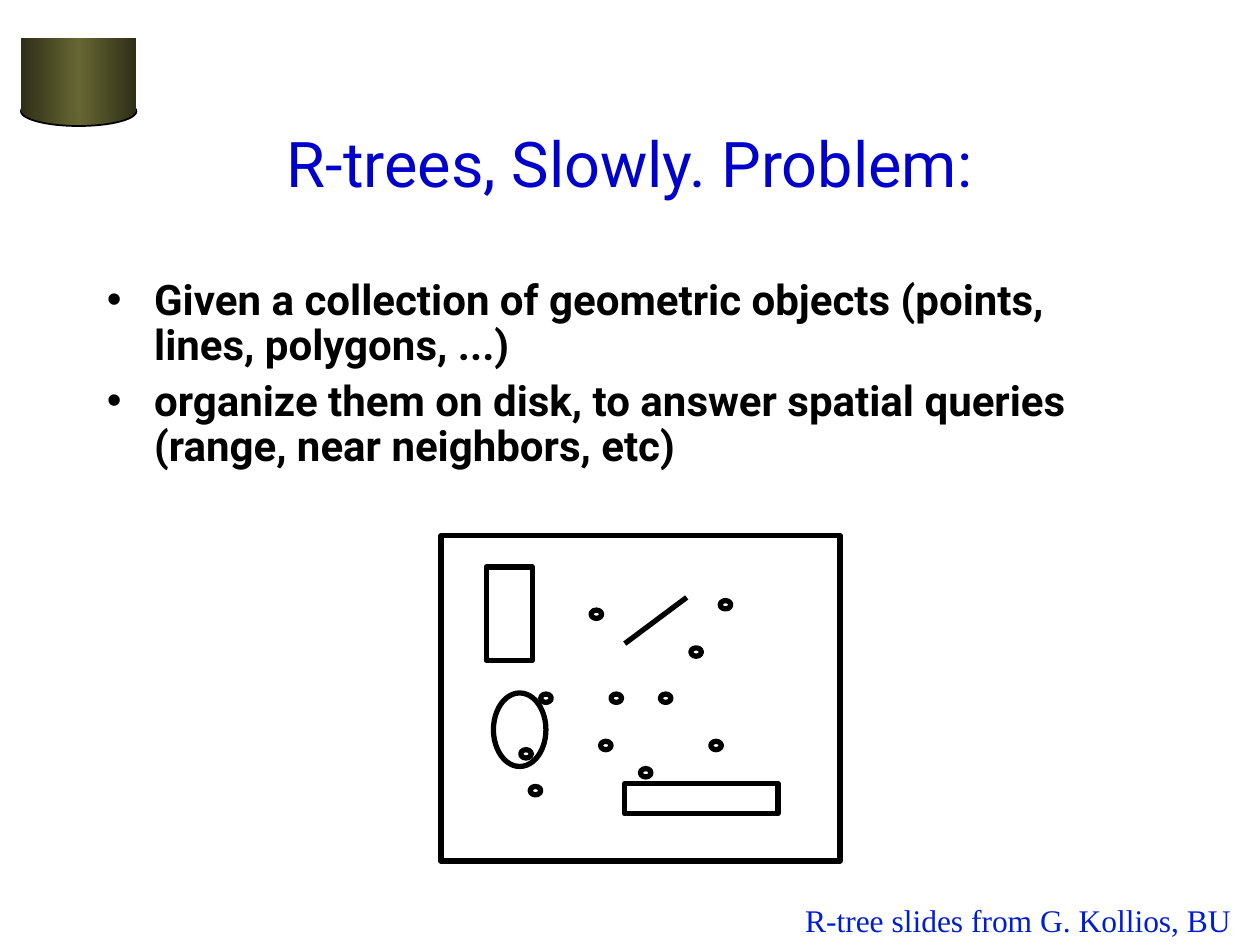
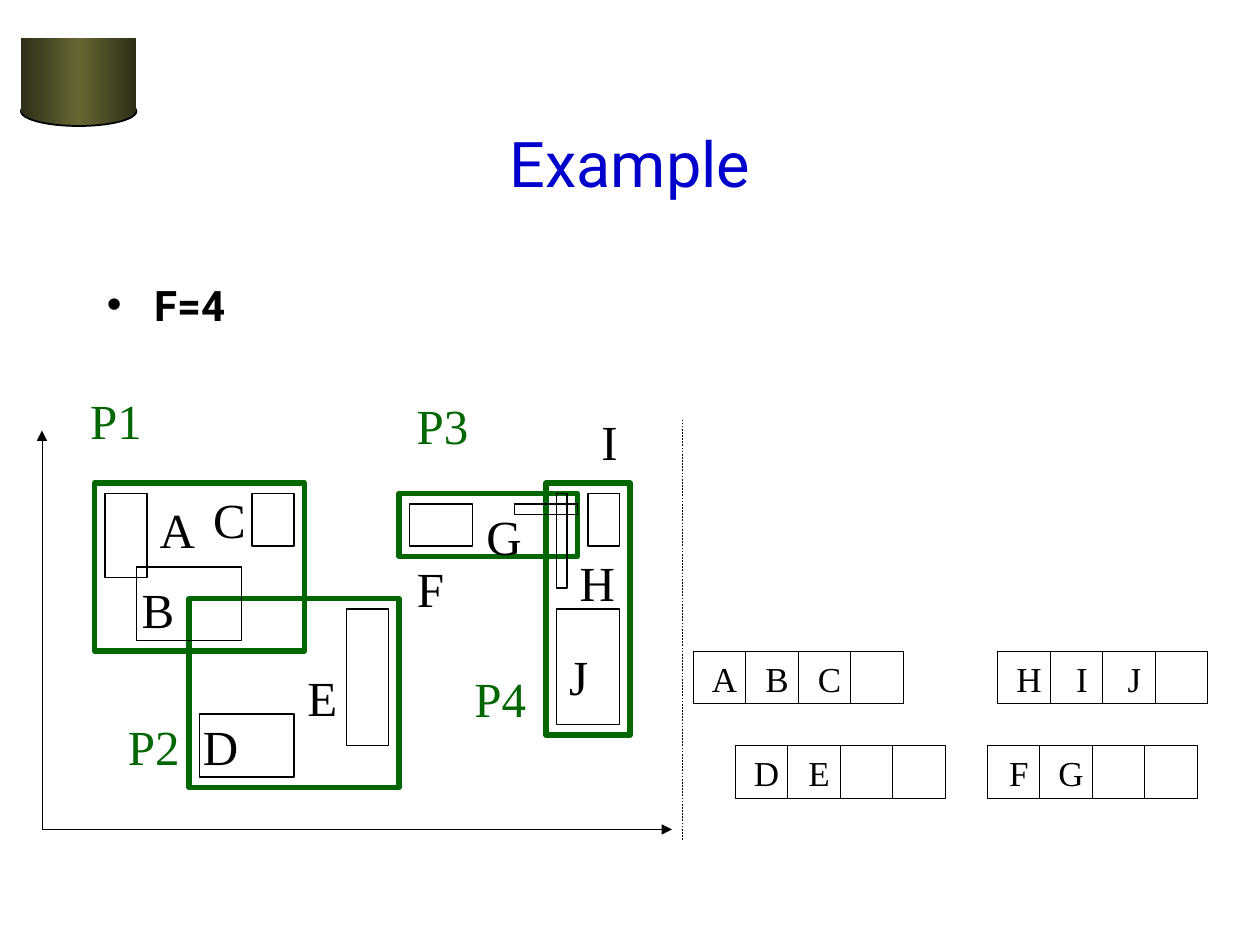
from copy import deepcopy
from dataclasses import dataclass

from lxml.etree import SubElement
from pptx import Presentation
from pptx.dml.color import RGBColor
from pptx.enum.dml import MSO_LINE_DASH_STYLE as DASH
from pptx.enum.shapes import MSO_CONNECTOR as CONNECTOR
from pptx.enum.shapes import MSO_SHAPE as SHAPE
from pptx.enum.text import MSO_ANCHOR as ANCHOR
from pptx.enum.text import PP_ALIGN as ALIGN
from pptx.oxml.ns import qn
from pptx.util import Emu, Pt

PX = 7620  # 120 px to the inch


@dataclass(frozen=True)
class Theme:
    black: str = "000000"
    title_blue: str = "0000CC"
    credit_blue: str = "001DD6"
    node_green: str = "006600"
    drum: tuple = ("2F2F18", "666633", "2F2F18")
    sans: str = "Roboto"
    serif: str = "Times New Roman"
    title_size: int = 36
    body_size: int = 24
    label_size: int = 28
    cell_size: int = 20
    credit_size: int = 18
    bold_line: float = 3
    drum_line: float = 1
    object_line: float = 0.75
    hairline: float = 0.25


THEME = Theme()

# Spatial objects on the first slide
DOT_SIZE = (10, 8)
DOTS = [(496, 714), (505, 749), (572, 706), (563, 581), (629, 661), (515, 661),
        (686, 572), (658, 617), (582, 661), (677, 706), (610, 732)]

# Parent boxes: name, box, label centre and top
PARENT_NODES = [
    ("P1", (90, 460, 200, 160), (110, 366)),
    ("P4", (520, 460, 80, 240), (476, 631)),
    ("P2", (180, 570, 200, 180), (146, 676)),
    ("P3", (380, 470, 170, 60), (421, 371)),
]
# Data boxes: name, box, label centre and top
DATA_OBJECTS = [
    ("A", (100, 470, 40, 80), (169, 470)),
    ("B", (130, 540, 100, 70), (150, 546)),
    ("C", (240, 470, 40, 50), (218, 460)),
    ("D", (190, 680, 90, 60), (210, 676)),
    ("E", (330, 580, 40, 130), (307, 630)),
    ("F", (390, 480, 60, 40), (410, 526)),
    ("G", (490, 480, 60, 10), (480, 476)),
    ("H", (530, 470, 10, 90), (569, 520)),
    ("I", (560, 470, 30, 50), (580, 386)),
    ("J", (530, 580, 60, 110), (551, 610)),
]
# Leaf pages: entries, left, top
LEAVES = [("FG", 940, 710), ("DE", 700, 710), ("HIJ", 950, 620), ("ABC", 660, 620)]
FANOUT = 4
CELL = 50

# Glyph widths in em, for label boxes that hug their text
GLYPH_WIDTH = dict(A=.72, B=.67, C=.67, D=.72, E=.61, F=.56, G=.72, H=.72,
                   I=.33, J=.39, P=.56)
DIGIT_WIDTH = 0.5


def emu(*lengths):
    return [Emu(length * PX) for length in lengths]


# Outlines and lines
def style_line(shape, color, width):
    shape.line.color.rgb = RGBColor.from_string(color)
    shape.line.width = Pt(width)


def add_outline(shapes, kind, box, color, width):
    shape = shapes.add_shape(kind, *emu(*box))
    shape.shadow.inherit = False
    shape.fill.background()
    style_line(shape, color, width)
    return shape


def add_line(slide, start, end, width):
    line = slide.shapes.add_connector(CONNECTOR.STRAIGHT, *emu(*start, *end))
    style_line(line, THEME.black, width)
    SubElement(line._element.spPr, qn("a:effectLst"))
    return line


def add_axes(slide, top, origin, right):
    builder = slide.shapes.build_freeform(*emu(*top), scale=1.0)
    builder.add_line_segments([emu(*origin), emu(*right)], close=False)
    axes = builder.convert_to_shape()
    axes.shadow.inherit = False
    axes.fill.background()
    style_line(axes, THEME.black, THEME.hairline)
    outline = axes._element.spPr.find(qn("a:ln"))
    for end in ("a:headEnd", "a:tailEnd"):
        SubElement(outline, qn(end), type="triangle")


# Text
def style_paragraph(paragraph, font, size, color, bold=False):
    for run in paragraph.runs:
        run.font.name = font
        run.font.size = Pt(size)
        run.font.bold = bold
        run.font.color.rgb = RGBColor.from_string(color)


def add_text(shapes, box, text, font, size, color, align=ALIGN.CENTER,
             anchor=ANCHOR.MIDDLE, wrap=False):
    text_frame = shapes.add_textbox(*emu(*box)).text_frame
    text_frame.word_wrap = wrap
    text_frame.vertical_anchor = anchor
    text_frame.text = text
    paragraph = text_frame.paragraphs[0]
    paragraph.alignment = align
    style_paragraph(paragraph, font, size, color)


def add_label(shapes, text, center, top, size, color):
    em = size * 120 / 72
    advance = sum(GLYPH_WIDTH.get(glyph, DIGIT_WIDTH) for glyph in text)
    width = round(advance * em) + 24
    height = round(1.2 * em) + 12
    box = (center - width // 2, top, width, height)
    add_text(shapes, box, text, THEME.serif, size, color)


def add_bullets(slide, items, line_spacing):
    text_frame = slide.shapes.add_textbox(*emu(90, 260, 1020, 540)).text_frame
    text_frame.word_wrap = True
    text_frame.text = "\n".join(items)
    for index, paragraph in enumerate(text_frame.paragraphs):
        properties = paragraph._p.get_or_add_pPr()
        properties.set("marL", str(45 * PX))
        properties.set("indent", str(-45 * PX))
        SubElement(properties, qn("a:buFont"), typeface="Arial")
        SubElement(properties, qn("a:buChar"), char="•")
        paragraph.line_spacing = line_spacing
        if index:
            paragraph.space_before = Pt(6)
        style_paragraph(paragraph, THEME.sans, THEME.body_size, THEME.black, bold=True)


# Shared slide frame
def add_drum(slide):
    group = slide.shapes.add_group_shape()
    base = add_outline(group.shapes, SHAPE.OVAL, (20, 92, 110, 28),
                       THEME.black, THEME.drum_line)
    side = add_outline(group.shapes, SHAPE.RECTANGLE, (20, 36, 110, 71),
                       THEME.black, THEME.drum_line)
    side.line.fill.background()
    for part in (base, side):
        part.fill.gradient()
        part.fill.gradient_angle = 0
        stop_list = part._element.spPr.find(".//" + qn("a:gsLst"))
        stop_list.append(deepcopy(stop_list[0]))
        stops = zip(part.fill.gradient_stops, THEME.drum, (0, 0.5, 1))
        for stop, color, position in stops:
            stop.color.rgb = RGBColor.from_string(color)
            stop.position = position


def add_slide(presentation, title):
    slide = presentation.slides.add_slide(presentation.slide_layouts[6])
    add_drum(slide)
    add_text(slide.shapes, (90, 80, 1020, 150), title, THEME.sans,
             THEME.title_size, THEME.title_blue, wrap=True)
    return slide


# Slide contents
def add_object_map(slide):
    outlines = [
        (SHAPE.RECTANGLE, (420, 510, 380, 310)),
        *((SHAPE.OVAL, dot + DOT_SIZE) for dot in DOTS),
        (SHAPE.RECTANGLE, (463, 540, 44, 89)),
        (SHAPE.RECTANGLE, (595, 746, 146, 29)),
        (SHAPE.OVAL, (470, 660, 50, 70)),
    ]
    for kind, box in outlines:
        add_outline(slide.shapes, kind, box, THEME.black, THEME.bold_line)
    add_line(slide, (595, 613), (654, 569), THEME.bold_line)


def add_boxes(slide, entries, color, width):
    for _, box, _ in entries:
        add_outline(slide.shapes, SHAPE.RECTANGLE, box, color, width)


def add_labels(slide, entries, color):
    for name, _, (center, top) in entries:
        add_label(slide.shapes, name, center, top, THEME.label_size, color)


def add_leaf(slide, entries, left, top):
    shapes = slide.shapes.add_group_shape().shapes
    cell_lefts = [left + CELL * index for index in range(FANOUT)]
    for cell_left in cell_lefts:
        add_outline(shapes, SHAPE.RECTANGLE, (cell_left, top, CELL, CELL),
                    THEME.black, THEME.hairline)
    for name, cell_left in zip(entries, cell_lefts):
        add_label(shapes, name, cell_left + 30, top, THEME.cell_size, THEME.black)


def build_problem_slide(presentation):
    slide = add_slide(presentation, "R-trees, Slowly. Problem:")
    add_bullets(slide, [
        "Given a collection of geometric objects (points, lines, polygons, ...)",
        "organize them on disk, to answer spatial queries (range, near neighbors, etc)",
    ], line_spacing=0.9)
    add_object_map(slide)
    add_text(slide.shapes, (755, 852, 430, 48), "R-tree slides from G. Kollios, BU",
             THEME.serif, THEME.credit_size, THEME.credit_blue,
             align=ALIGN.LEFT, anchor=ANCHOR.TOP)


def build_example_slide(presentation):
    slide = add_slide(presentation, "Example")
    add_bullets(slide, ["F=4"], line_spacing=1.0)
    add_boxes(slide, PARENT_NODES, THEME.node_green, THEME.bold_line)
    add_boxes(slide, DATA_OBJECTS, THEME.black, THEME.object_line)
    add_axes(slide, (40, 410), (40, 790), (640, 790))
    add_labels(slide, DATA_OBJECTS, THEME.black)
    add_labels(slide, PARENT_NODES, THEME.node_green)
    for leaf in LEAVES:
        add_leaf(slide, *leaf)
    divider = add_line(slide, (650, 800), (650, 400), THEME.hairline)
    divider.line.dash_style = DASH.DASH


def main():
    presentation = Presentation()
    presentation.slide_width, presentation.slide_height = emu(1200, 900)
    build_problem_slide(presentation)
    build_example_slide(presentation)
    presentation.save("out.pptx")


if __name__ == "__main__":
    main()
